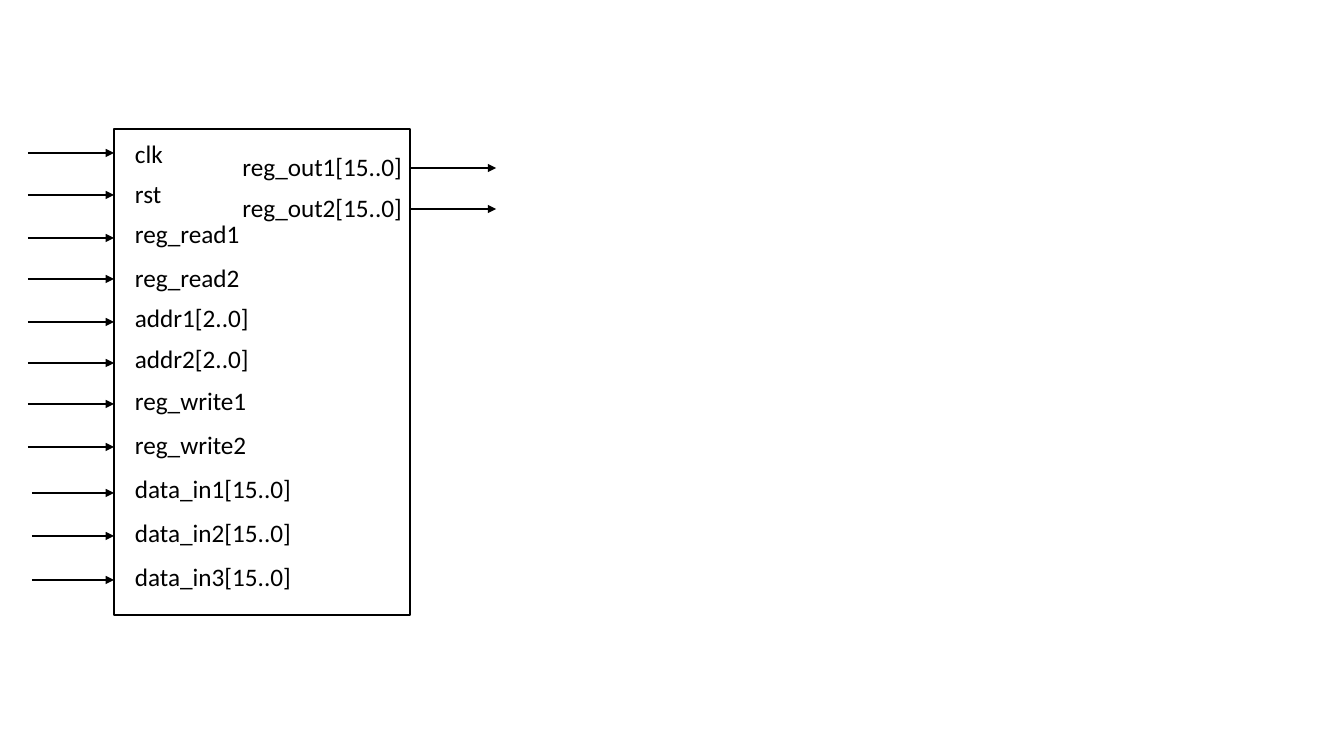
from dataclasses import dataclass

from lxml.etree import SubElement
from pptx import Presentation
from pptx.dml.color import RGBColor
from pptx.enum.shapes import MSO_CONNECTOR, MSO_SHAPE
from pptx.enum.text import MSO_AUTO_SIZE, PP_ALIGN
from pptx.oxml.ns import qn
from pptx.util import Inches, Pt


@dataclass(frozen=True)
class Theme:
    """Colours, font and sizes of the diagram."""
    ink: RGBColor = RGBColor(0, 0, 0)
    paper: RGBColor = RGBColor(255, 255, 255)
    font: str = "Calibri"
    label_size: Pt = Pt(18)
    stroke: Pt = Pt(1)


THEME = Theme()
EMU_PER_PIXEL = 914400 / 100.8
LABEL_HEIGHT = 40
REGISTER_FILE = (114, 129, 296, 486)
INPUTS = [
    ("clk", 52, 4, 24, 86),
    ("rst", 52, 44, 66, 86),
    ("reg_read1", 128, 84, 109, 86),
    ("reg_read2", 128, 128, 150, 86),
    ("addr1[2..0]", 137, 168, 193, 86),
    ("addr2[2..0]", 137, 209, 234, 86),
    ("reg_write1", 135, 251, 275, 86),
    ("reg_write2", 135, 295, 318, 86),
    ("data_in1[15..0]", 180, 339, 364, 82),
    ("data_in2[15..0]", 180, 383, 407, 82),
    ("data_in3[15..0]", 180, 427, 451, 82),
]
OUTPUTS = [
    ("reg_out1[15..0]", 183, 17, 39, 86),
    ("reg_out2[15..0]", 183, 58, 80, 86),
]


def px(*lengths):
    """Turn pixel lengths into EMU."""
    return [round(length * EMU_PER_PIXEL) for length in lengths]


def add_label(slide, text, box, align=PP_ALIGN.LEFT, size=THEME.label_size, color=THEME.ink):
    """Add a one-line port name in the given box."""
    label = slide.shapes.add_textbox(*px(*box))
    frame = label.text_frame
    frame.word_wrap = False
    frame.auto_size = MSO_AUTO_SIZE.SHAPE_TO_FIT_TEXT
    frame.text = text
    name = frame.paragraphs[0]
    name.alignment = align
    name.font.name = THEME.font
    name.font.size = size
    name.font.color.rgb = color


def add_signal(slide, start, end, y):
    """Add a horizontal arrow from start to end."""
    signal = slide.shapes.add_connector(MSO_CONNECTOR.STRAIGHT, *px(start, y, end, y))
    signal.line.color.rgb = THEME.ink
    signal.line.width = THEME.stroke
    properties = signal.element.spPr
    SubElement(properties.find(qn("a:ln")), qn("a:tailEnd"), type="triangle")
    SubElement(properties, qn("a:effectLst"))


def add_register_file(slide, box):
    """Draw the register block with its input and output ports."""
    left, top, width, height = box
    right = left + width
    block = slide.shapes.add_shape(MSO_SHAPE.RECTANGLE, *px(left, top, width, height))
    block.shadow.inherit = False
    block.fill.solid()
    block.fill.fore_color.rgb = THEME.paper
    block.line.color.rgb = THEME.ink
    block.line.width = THEME.stroke
    for name, label_width, label_y, signal_y, reach in INPUTS:
        add_label(slide, name, (left + 11, top + label_y, label_width, LABEL_HEIGHT))
        add_signal(slide, left - reach, left, top + signal_y)
    for name, label_width, label_y, signal_y, reach in OUTPUTS:
        label_left = right + 2 - label_width
        add_label(slide, name, (label_left, top + label_y, label_width, LABEL_HEIGHT),
                  align=PP_ALIGN.RIGHT)
        add_signal(slide, right, right + reach, top + signal_y)


def main():
    """Build and save the slide."""
    deck = Presentation()
    deck.slide_width, deck.slide_height = Inches(13.33), Inches(7.5)
    slide = deck.slides.add_slide(deck.slide_layouts[6])
    add_register_file(slide, REGISTER_FILE)
    deck.save("out.pptx")


main()
